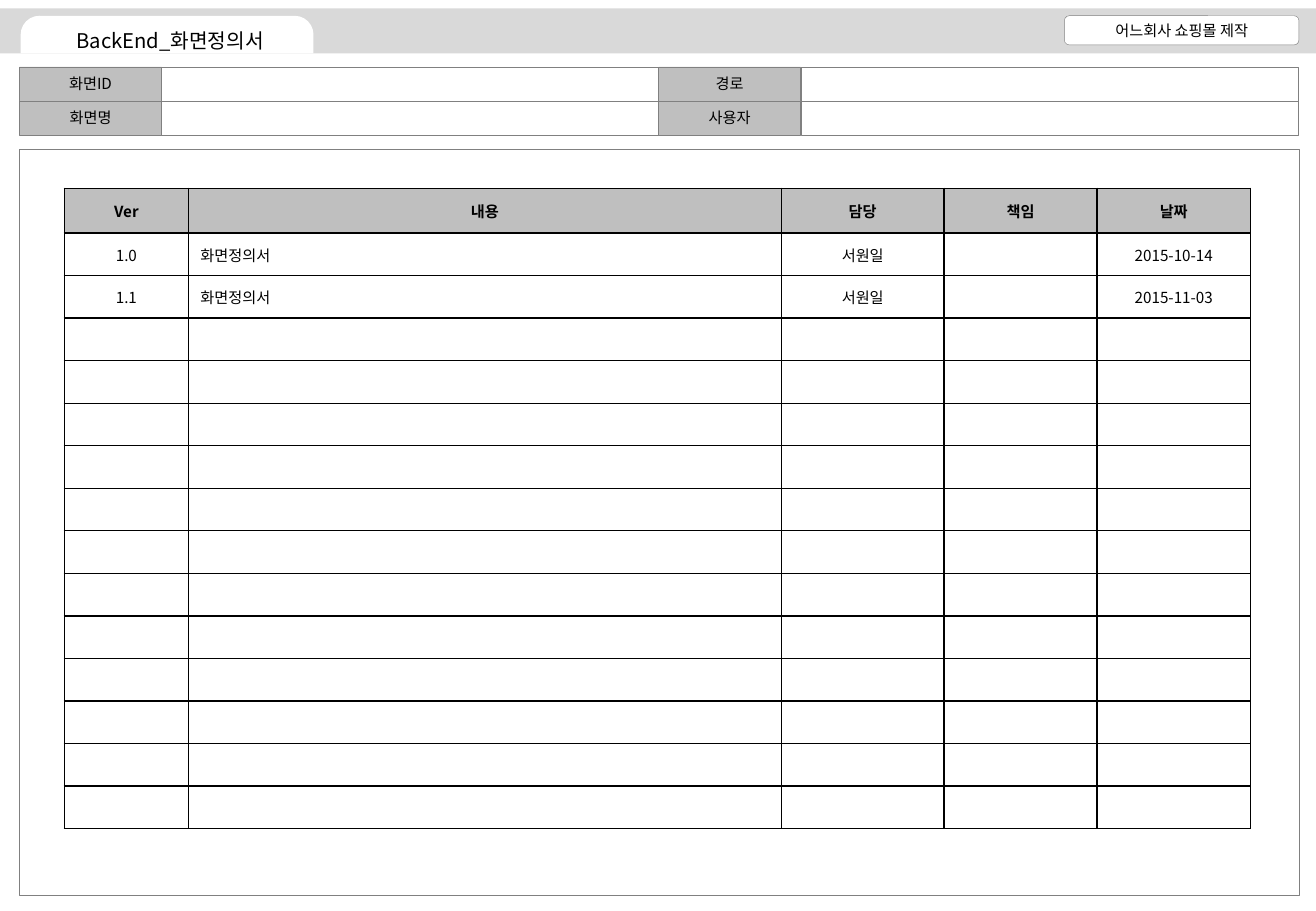
import dataclasses
import itertools
import typing

import pptx
import pptx.dml.color
import pptx.enum.shapes
import pptx.enum.text
import pptx.oxml
import pptx.oxml.ns
import pptx.util

Inches = pptx.util.Inches
Pt = pptx.util.Pt
Kind = pptx.enum.shapes.MSO_SHAPE
Align = pptx.enum.text.PP_ALIGN
Middle = pptx.enum.text.MSO_ANCHOR.MIDDLE

FACE = "Noto Sans CJK KR"
BLACK, WHITE, GREY = "000000", "FFFFFF", "808080"
HEAD, BAND = "BFBFBF", "D9D9D9"


@dataclasses.dataclass
class Box:
    left: float
    top: float
    width: float
    height: float
    fill: typing.Optional[str] = None
    line: typing.Optional[str] = GREY
    text: str = ""
    kind: Kind = Kind.RECTANGLE


def color(code: str) -> pptx.dml.color.RGBColor:
    return pptx.dml.color.RGBColor.from_string(code)


def write(frame, text: str, size: float = 9, bold: bool = False,
          align: Align = Align.CENTER) -> None:
    frame.text = text
    para = frame.paragraphs[0]
    para.alignment = align
    font = para.font
    font.size, font.bold, font.name = Pt(size), bold, FACE
    font.color.rgb = color(BLACK)
    # Hangul takes the East Asian face
    latin = para._p.find(".//" + pptx.oxml.ns.qn("a:latin"))
    latin.addnext(pptx.oxml.parse_xml(
        f'<a:ea {pptx.oxml.ns.nsdecls("a")} typeface="{FACE}"/>'))
    if not text:
        # Keeps empty cells from growing their row
        para._p.get_or_add_endParaRPr().set("sz", str(int(size * 100)))


def draw(slide, box: Box):
    shape = slide.shapes.add_shape(
        box.kind, Inches(box.left), Inches(box.top),
        Inches(box.width), Inches(box.height))
    shape.shadow.inherit = False
    if box.fill:
        shape.fill.solid()
        shape.fill.fore_color.rgb = color(box.fill)
    else:
        shape.fill.background()
    if box.line:
        shape.line.color.rgb = color(box.line)
        shape.line.width = Pt(0.25)
    else:
        shape.line.fill.background()
    if box.text:
        frame = shape.text_frame
        frame.margin_top = frame.margin_bottom = 0
        frame.vertical_anchor = Middle
        write(frame, box.text)
    return shape


def border(cell) -> None:
    props = cell._tc.get_or_add_tcPr()
    for spot, side in enumerate(("lnL", "lnR", "lnT", "lnB")):
        props.insert(spot, pptx.oxml.parse_xml(
            f'<a:{side} {pptx.oxml.ns.nsdecls("a")} w="{Pt(1)}"><a:solidFill>'
            f'<a:srgbClr val="{BLACK}"/></a:solidFill></a:{side}>'))


deck = pptx.Presentation()
deck.slide_width, deck.slide_height = Inches(10.83), Inches(7.5)
slide = deck.slides.add_slide(deck.slide_layouts[5])

# Header band, title tab, page frame and project label
draw(slide, Box(0, 0.07, 10.83, 0.37, BAND, None))
tab = draw(slide, Box(0.17, 0.13, 2.41, 0.31, WHITE, None,
                      kind=Kind.ROUND_2_SAME_RECTANGLE))
tab.adjustments[0] = 0.5
draw(slide, Box(0.16, 1.23, 10.53, 6.14))
draw(slide, Box(8.76, 0.13, 1.93, 0.24, WHITE, GREY, "어느회사 쇼핑몰 제작",
                Kind.ROUNDED_RECTANGLE))

# Title, brought in front of its tab
title = slide.shapes.title
title.left, title.top = Inches(0.3), Inches(0.21)
title.width, title.height = Inches(2.2), Inches(0.24)
frame = title.text_frame
frame.auto_size = pptx.enum.text.MSO_AUTO_SIZE.NONE
frame.margin_top = frame.margin_bottom = 0
frame.vertical_anchor = Middle
write(frame, "BackEnd_화면정의서", 12)
title.element.getparent().append(title.element)

# Screen details: label and blank field, two by two
LABEL, FIELD, DEEP = 1.17, 4.09, 0.28
labels = (("화면ID", "경로"), ("화면명", "사용자"))
for row, col in itertools.product(range(2), range(2)):
    left, top = 0.16 + col * (LABEL + FIELD), 0.55 + row * DEEP
    draw(slide, Box(left, top, LABEL, DEEP, HEAD, text=labels[row][col]))
    draw(slide, Box(left + LABEL, top, FIELD, DEEP))

# Version history
names = ("Ver", "내용", "담당", "책임", "날짜")
widths = (1.02, 4.88, 1.34, 1.26, 1.26)
blank = ("",) * len(names)
rows = [
    names,
    ("1.0", "화면정의서", "서원일", "", "2015-10-14"),
    ("1.1", "화면정의서", "서원일", "", "2015-11-03"),
] + [blank] * 12
grid = slide.shapes.add_table(
    len(rows), len(names), Inches(0.53), Inches(1.55),
    Inches(sum(widths)), Inches(5.27)).table
for column, width in zip(grid.columns, widths):
    column.width = Inches(width)
for r, texts in enumerate(rows):
    head = r == 0
    grid.rows[r].height = Inches(0.37 if head else 0.35)
    for c, text in enumerate(texts):
        cell = grid.cell(r, c)
        cell.vertical_anchor = Middle
        cell.fill.solid()
        cell.fill.fore_color.rgb = color(HEAD if head else WHITE)
        left = c == 1 and not head
        write(cell.text_frame, text, bold=head,
              align=Align.LEFT if left else Align.CENTER)
        border(cell)

deck.save("out.pptx")
